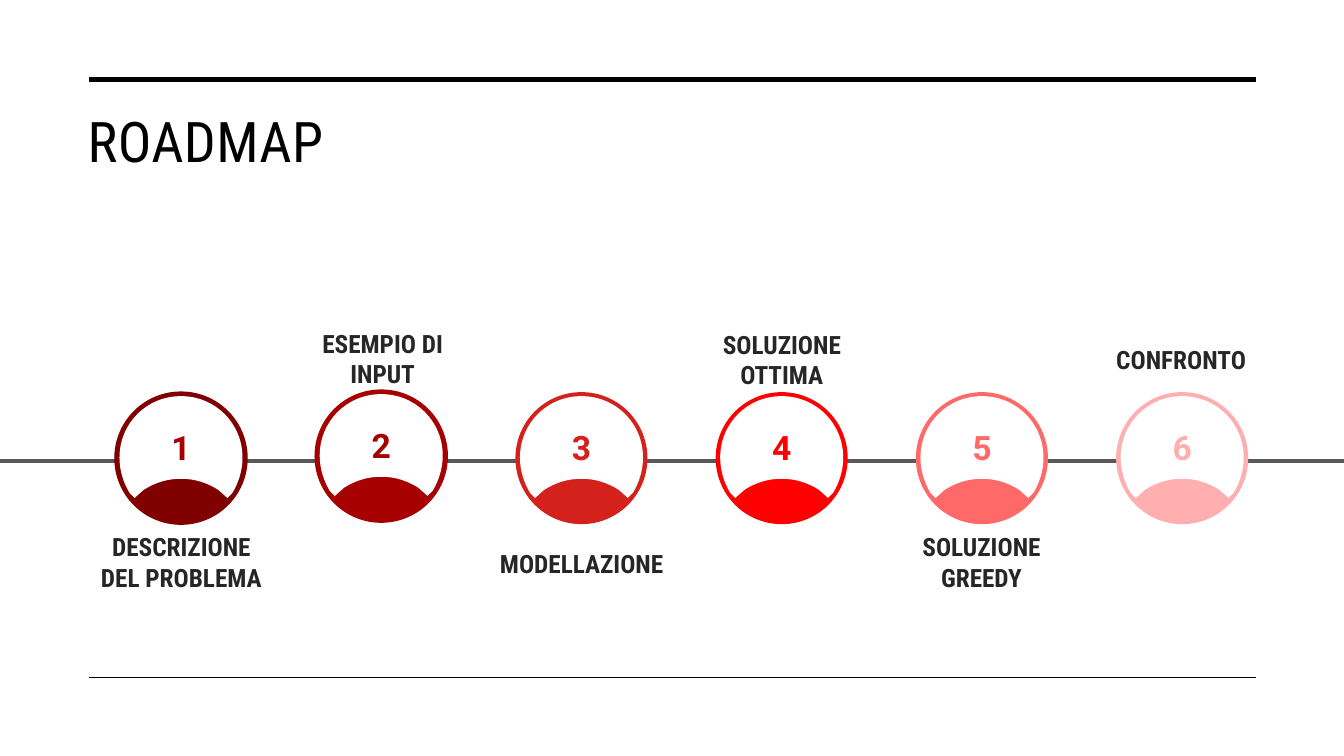
from lxml import etree
from pptx import Presentation
from pptx import util as u
from pptx.dml.color import RGBColor
from pptx.enum import shapes, text
from pptx.oxml import ns

DIAMETER = 1.31
FIRST_LEFT, LAST_LEFT = 1.14, 11.07
STEPS = [
    ("DESCRIZIONE DEL PROBLEMA", "800000", "A70000", 3.89, (0.87, 5.22, 1.86, 0.71), 1),
    ("ESEMPIO DI INPUT", "A70000", "A70000", 3.87, (2.94, 3.2, 1.71, 0.71), 1),
    ("MODELLAZIONE", "D4211C", "D4211C", 3.89, (4.84, 5.39, 1.86, 0.4), 0),
    ("SOLUZIONE OTTIMA", "FF0000", "FF0000", 3.89, (6.81, 3.21, 1.89, 0.71), 0),
    ("SOLUZIONE GREEDY", "FF6968", "FF6968", 3.89, (8.88, 5.22, 1.71, 0.71), 0),
    ("CONFRONTO", "FFAFAF", "FFAFAF", 3.89, (10.86, 3.37, 1.71, 0.4), 0),
]
WINDOW_HALF = [(0, 0), (0.34, 0), (0.61, 0.27), (0.61, 0.61), (0.61, 0.74),
               (0.57, 0.86), (0.51, 0.96), (0.46, 1.01), (0.37, 0.93),
               (0.26, 0.86), (0.14, 0.82), (0, 0.82)]
HALF_SEGMENTS = [3, 3, 1, 1, 3]


def rgb(value):
    """Return the colour for a hex string."""
    return RGBColor.from_string(value)


def write(p, content, size, color, font="Roboto Condensed", bold=False, spacing=None):
    """Add a formatted run to a paragraph."""
    r = p.add_run()
    r.text = content
    r.font.size = u.Pt(size)
    r.font.name = font
    r.font.bold = bold
    r.font.color.rgb = rgb(color)
    if spacing is not None:
        r.font._element.set("spc", str(spacing))


def add_line(s, left, right, y, color, width):
    """Draw a horizontal line without a shadow."""
    cx = s.shapes.add_connector(shapes.MSO_CONNECTOR.STRAIGHT, u.Inches(left),
                                u.Inches(y), u.Inches(right), u.Inches(y))
    cx.line.color.rgb = rgb(color)
    cx.line.width = u.Pt(width)
    etree.SubElement(cx._element.spPr, ns.qn("a:effectLst"))


def add_label(s, left, top, width, height, content, **fmt):
    """Add a bold, centred text box."""
    sp = s.shapes.add_textbox(*map(u.Inches, (left, top, width, height)))
    tf = sp.text_frame
    tf.word_wrap = True
    tf.auto_size = text.MSO_AUTO_SIZE.SHAPE_TO_FIT_TEXT
    tf.vertical_anchor = text.MSO_ANCHOR.MIDDLE
    p = tf.paragraphs[0]
    p.alignment = text.PP_ALIGN.CENTER
    write(p, content, bold=True, **fmt)


def paint(sp, color, line_width=0):
    """Fill a shape, with a matching outline if it has a line width."""
    sp.shadow.inherit = False
    sp.fill.solid()
    sp.fill.fore_color.rgb = rgb(color)
    if line_width:
        sp.line.color.rgb = rgb(color)
        sp.line.width = u.Pt(line_width)
    else:
        sp.line.fill.background()


def curve_segments(sp, sizes):
    """Join each group of three line segments into one cubic curve."""
    segments = iter(list(sp._element.iter(ns.qn("a:lnTo"))))
    for size in sizes:
        first = next(segments)
        if size == 3:
            first.tag = ns.qn("a:cubicBezTo")
            for _ in range(2):
                extra = next(segments)
                first.append(extra[0])
                extra.getparent().remove(extra)


def add_window(s, center, top):
    """Draw the white area that leaves a ring and a lower cap."""
    mirrored = [(-x, y) for x, y in WINDOW_HALF[-2::-1]]
    points = [(u.Inches(center + x), u.Inches(top + y))
              for x, y in WINDOW_HALF + mirrored]
    fb = s.shapes.build_freeform(*points[0])
    fb.add_line_segments(points[1:], close=True)
    sp = fb.convert_to_shape()
    curve_segments(sp, HALF_SEGMENTS + HALF_SEGMENTS[::-1])
    paint(sp, "FFFFFF")


def add_badge(s, left, top, color, line_width):
    """Draw a coloured disc with its white window."""
    sp = s.shapes.add_shape(shapes.MSO_SHAPE.OVAL, u.Inches(left), u.Inches(top),
                            u.Inches(DIAMETER), u.Inches(DIAMETER))
    paint(sp, color, line_width)
    add_window(s, left + DIAMETER / 2, top + 0.04)


def add_title(s, content):
    """Place and format the slide title."""
    sp = s.shapes.title
    sp.left, sp.top, sp.width, sp.height = map(u.Inches, (0.77, 1.01, 11.69, 1.5))
    tf = sp.text_frame
    tf.auto_size = text.MSO_AUTO_SIZE.NONE
    tf.vertical_anchor = text.MSO_ANCHOR.TOP
    p = tf.paragraphs[0]
    p.alignment = text.PP_ALIGN.LEFT
    write(p, content, 40, "000000", spacing=30)


def main():
    """Build the roadmap slide."""
    prs = Presentation()
    prs.slide_width, prs.slide_height = u.Inches(13.33), u.Inches(7.5)
    s = prs.slides.add_slide(prs.slide_layouts[5])
    add_line(s, 0.88, 12.46, 0.79, "000000", 3.5)
    add_line(s, 0.88, 12.46, 6.72, "000000", 1)
    add_title(s, "ROADMAP")
    add_line(s, 0, 13.33, 4.57, "595959", 3)
    pitch = (LAST_LEFT - FIRST_LEFT) / (len(STEPS) - 1)
    for i, (name, color, number_color, top, label, line_width) in enumerate(STEPS):
        left = FIRST_LEFT + i * pitch
        add_label(s, *label, name, size=18, color="262626")
        add_badge(s, left, top, color, line_width)
        add_label(s, left + 0.01, top + 0.3, 1.29, 0.5, str(i + 1),
                  size=24, color=number_color, font="Roboto")
    prs.save("out.pptx")


if __name__ == "__main__":
    main()
